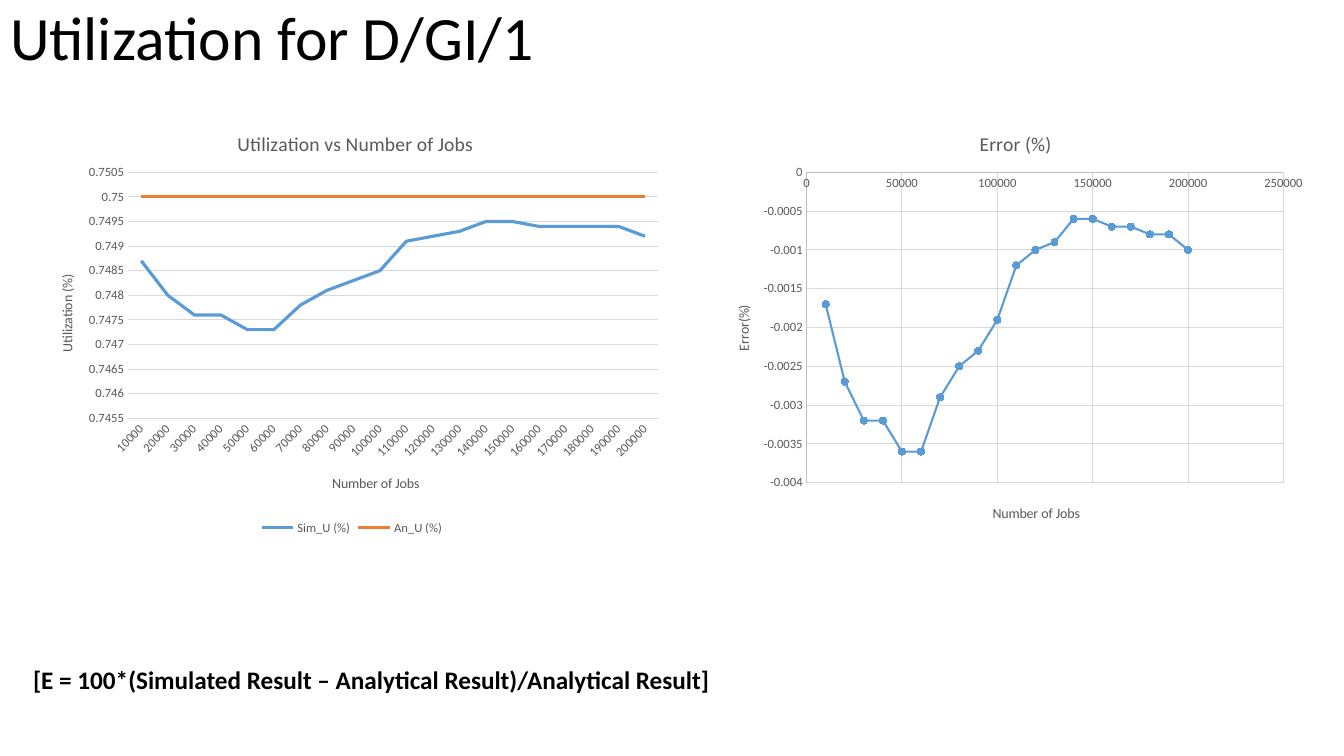
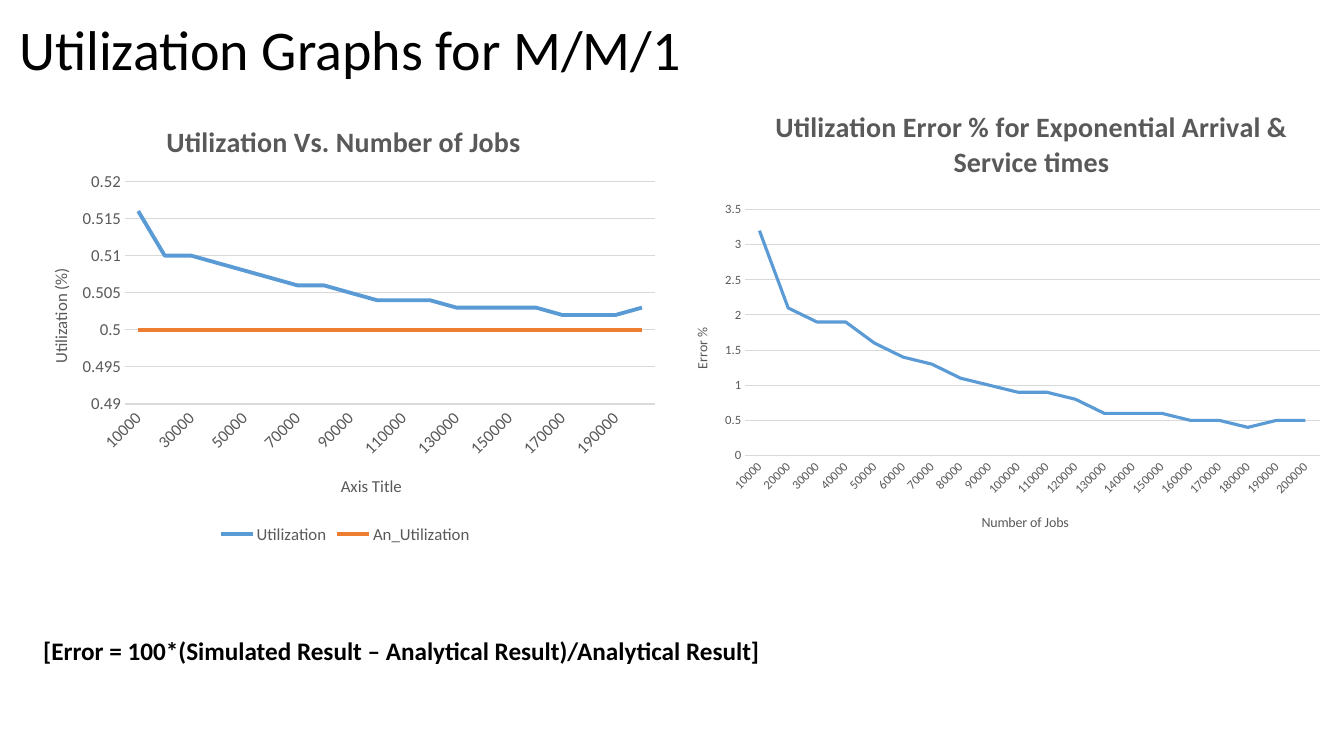
"""Builds two slides of queue utilization charts."""
from lxml import etree
from pptx import Presentation
from pptx import util as u
from pptx.chart import data as chart_data
from pptx.dml.color import RGBColor
from pptx.enum import chart as ce
from pptx.enum import text as te
from pptx.oxml.ns import qn

FONT = "Calibri"
BLACK, GREY, GRID, AXIS = "000000", "595959", "D9D9D9", "BFBFBF"
SERIES_COLOURS = ("5B9BD5", "ED7D31")
JOBS = [10000 * step for step in range(1, 21)]

DETERMINISTIC_UTILIZATION = [
    0.7487, 0.7480, 0.7476, 0.7476, 0.7473, 0.7473, 0.7478, 0.7481, 0.7483, 0.7485,
    0.7491, 0.7492, 0.7493, 0.7495, 0.7495, 0.7494, 0.7494, 0.7494, 0.7494, 0.7492]
DETERMINISTIC_ERROR = [
    -0.0017, -0.0027, -0.0032, -0.0032, -0.0036, -0.0036, -0.0029, -0.0025, -0.0023, -0.0019,
    -0.0012, -0.001, -0.0009, -0.0006, -0.0006, -0.0007, -0.0007, -0.0008, -0.0008, -0.001]
EXPONENTIAL_UTILIZATION = [
    0.516, 0.510, 0.510, 0.509, 0.508, 0.507, 0.506, 0.506, 0.505, 0.504,
    0.504, 0.504, 0.503, 0.503, 0.503, 0.503, 0.502, 0.502, 0.502, 0.503]
EXPONENTIAL_ERROR = [
    3.2, 2.1, 1.9, 1.9, 1.6, 1.4, 1.3, 1.1, 1, 0.9,
    0.9, 0.8, 0.6, 0.6, 0.6, 0.5, 0.5, 0.4, 0.5, 0.5]


def rgb(colour):
    """Turn a hex string into a colour."""
    return RGBColor.from_string(colour)


def set_all(target, **values):
    """Set several attributes of one object."""
    for name, value in values.items():
        setattr(target, name, value)


def style_font(font, size, colour=GREY, bold=False):
    """Apply the deck font."""
    set_all(font, name=FONT, size=u.Pt(size), bold=bold)
    font.color.rgb = rgb(colour)


def style_line(line, colour, width):
    """Colour a line, or hide it when no colour is given."""
    if colour is None:
        line.fill.background()
        return
    line.color.rgb = rgb(colour)
    line.width = u.Pt(width)


def place(element, frame, box):
    """Pin a chart part at a slide position in inches."""
    old = element.find(qn("c:layout"))
    if old is not None:
        element.remove(old)
    layout = etree.Element(qn("c:layout"))
    manual = etree.SubElement(layout, qn("c:manualLayout"))
    left, top, width, height = frame
    entries = [("xMode", "edge"), ("yMode", "edge"),
               ("x", (box[0] - left) / width), ("y", (box[1] - top) / height)]
    if len(box) == 4:
        entries = [("layoutTarget", "inner"), *entries,
                   ("w", box[2] / width), ("h", box[3] / height)]
    for tag, value in entries:
        text = value if isinstance(value, str) else f"{value:.4f}"
        etree.SubElement(manual, qn(f"c:{tag}")).set("val", text)
    rich = element.find(qn("c:tx"))
    element.insert(0 if rich is None else element.index(rich) + 1, layout)


def write_title(owner, text, size, frame, spot, bold=False):
    """Write and place the title of a chart or an axis."""
    owner.text_frame.text = text
    style_font(owner.text_frame.paragraphs[0].runs[0].font, size, bold=bold)
    place(owner._element, frame, spot)


def style_axis(axis, label_size, scale=None, line=None, width=0.75, grid=True):
    """Format the scale, labels, line and gridlines of an axis."""
    set_all(axis, major_tick_mark=ce.XL_TICK_MARK.NONE, minor_tick_mark=ce.XL_TICK_MARK.NONE,
            has_major_gridlines=grid)
    if scale:
        low, high, step = scale
        set_all(axis, minimum_scale=low, maximum_scale=high, major_unit=step)
    style_font(axis.tick_labels.font, label_size)
    set_all(axis.tick_labels, number_format="General", number_format_is_linked=False)
    style_line(axis.format.line, line, width)
    if grid:
        style_line(axis.major_gridlines.format.line, GRID, 0.75)


def add_chart(slide, kind, data, frame, plot, title, x_title, y_title, label_size=9, stroke=2.25):
    """Add a chart with placed plot area, titles and coloured series."""
    chart = slide.shapes.add_chart(kind, *map(u.Inches, frame), data).chart
    style_font(chart.font, 10, BLACK)
    chart.has_legend = False
    place(chart._chartSpace.chart.plotArea, frame, plot)
    write_title(chart.chart_title, frame=frame, **title)
    for axis, caption in ((chart.category_axis, x_title), (chart.value_axis, y_title)):
        write_title(axis.axis_title, frame=frame, size=max(label_size, 10), **caption)
    chart.plots[0].vary_by_categories = False
    for series, colour in zip(chart.plots[0].series, SERIES_COLOURS):
        series.smooth = False
        style_line(series.format.line, colour, stroke)
    return chart


def add_line_chart(slide, series, scale, legend=False, axis_width=0.75, label_size=9, **parts):
    """Add a line chart over the number of jobs."""
    data = chart_data.CategoryChartData()
    data.categories = [str(count) for count in JOBS]
    for name, values in series.items():
        data.add_series(name, values)
    chart = add_chart(slide, ce.XL_CHART_TYPE.LINE, data, label_size=label_size, **parts)
    style_axis(chart.category_axis, label_size, line=GRID, width=axis_width, grid=False)
    style_axis(chart.value_axis, label_size, scale)
    label_body = chart.category_axis._element.find(qn("c:txPr")).find(qn("a:bodyPr"))
    label_body.set("rot", "-2700000")
    if legend:
        chart.has_legend = True
        set_all(chart.legend, position=ce.XL_LEGEND_POSITION.BOTTOM, include_in_layout=False)
        style_font(chart.legend.font, label_size)


def add_scatter_chart(slide, name, values, x_scale, y_scale, **parts):
    """Add a scatter chart with joined round markers."""
    data = chart_data.XyChartData()
    points = data.add_series(name)
    for count, value in zip(JOBS, values):
        points.add_data_point(count, value)
    chart = add_chart(slide, ce.XL_CHART_TYPE.XY_SCATTER_LINES, data, stroke=1.5, **parts)
    style_axis(chart.category_axis, 9, x_scale, AXIS)
    style_axis(chart.value_axis, 9, y_scale, AXIS)
    marker = chart.plots[0].series[0].marker
    set_all(marker, style=ce.XL_MARKER_STYLE.CIRCLE, size=5)
    marker.format.fill.solid()
    marker.format.fill.fore_color.rgb = rgb(SERIES_COLOURS[0])
    style_line(marker.format.line, SERIES_COLOURS[0], 0.75)


def add_slide(deck, heading, left, top, size):
    """Add a slide with its heading."""
    slide = deck.slides.add_slide(deck.slide_layouts[5])
    title = slide.shapes.title
    set_all(title, left=u.Inches(left), top=u.Inches(top),
            width=u.Inches(11.5), height=u.Inches(0.8))
    frame = title.text_frame
    frame.text = heading
    set_all(frame, vertical_anchor=te.MSO_ANCHOR.MIDDLE, auto_size=te.MSO_AUTO_SIZE.NONE,
            word_wrap=True)
    set_all(frame.paragraphs[0], alignment=te.PP_ALIGN.LEFT, line_spacing=0.9)
    style_font(frame.paragraphs[0].runs[0].font, size, BLACK)
    return slide


def add_formula(slide, text, left, top, width):
    """Add the bold error formula."""
    frame = slide.shapes.add_textbox(*map(u.Inches, (left, top, width, 0.4))).text_frame
    set_all(frame, text=text, word_wrap=True, auto_size=te.MSO_AUTO_SIZE.SHAPE_TO_FIT_TEXT)
    style_font(frame.paragraphs[0].runs[0].font, 18, BLACK, bold=True)


def caption(text, left, top, **style):
    """Describe a title and its position."""
    return dict(text=text, spot=(left, top), **style)


def build_deterministic(deck):
    """Build the D/GI/1 slide."""
    slide = add_slide(deck, "Utilization for D/GI/1", 0, 0, 44)
    add_formula(slide, "[E = 100*(Simulated Result – Analytical Result)/Analytical Result]",
                0.23, 6.54, 12.27)
    add_line_chart(
        slide, {"Sim_U (%)": DETERMINISTIC_UTILIZATION, "An_U (%)": [0.75] * len(JOBS)},
        (0.7455, 0.7505, 0.0005), legend=True,
        frame=(0.33, 1.06, 6.32, 4.29), plot=(1.27, 1.71, 5.26, 2.44),
        title=caption("Utilization vs Number of Jobs", 2.32, 1.26, size=14),
        x_title=caption("Number of Jobs", 3.27, 4.68),
        y_title=caption("Utilization (%)", 0.55, 2.7))
    add_scatter_chart(
        slide, "Error (%)", DETERMINISTIC_ERROR, (0, 250000, 50000), (-0.004, 0, 0.0005),
        frame=(7.04, 1.06, 6, 4.29), plot=(8, 1.71, 4.73, 3.08),
        title=caption("Error (%)", 9.68, 1.26, size=14),
        x_title=caption("Number of Jobs", 9.82, 4.98),
        y_title=caption("Error(%)", 7.26, 3))


def build_exponential(deck):
    """Build the M/M/1 slide."""
    slide = add_slide(deck, "Utilization Graphs for M/M/1", 0.09, 0.12, 40)
    add_line_chart(
        slide, {"Utilization": EXPONENTIAL_UTILIZATION, "An_Utilization": [0.5] * len(JOBS)},
        (0.49, 0.52, 0.005), legend=True, axis_width=1, label_size=12, stroke=2.75,
        frame=(0.22, 0.92, 6.41, 4.52), plot=(1.24, 1.8, 5.26, 2.21),
        title=caption("Utilization Vs. Number of Jobs", 1.6, 1.16, size=20, bold=True),
        x_title=caption("Axis Title", 3.35, 4.68),
        y_title=caption("Utilization (%)", 0.46, 2.63))
    add_line_chart(
        slide, {"Error %": EXPONENTIAL_ERROR}, (0, 3.5, 0.5),
        frame=(6.62, 0.92, 6.6, 4.52), plot=(7.39, 2.08, 5.7, 2.44),
        title=caption("Utilization Error % for Exponential Arrival & Service times",
                      7.64, 1.01, size=20, bold=True),
        x_title=caption("Number of Jobs", 9.71, 5.07),
        y_title=caption("Error %", 6.85, 3.23))
    add_formula(slide, "[Error = 100*(Simulated Result – Analytical Result)/Analytical Result]",
                0.33, 6.25, 9.14)


def main():
    """Build and save the deck."""
    deck = Presentation()
    set_all(deck, slide_width=u.Inches(13.33), slide_height=u.Inches(7.5))
    build_deterministic(deck)
    build_exponential(deck)
    deck.save("out.pptx")


if __name__ == "__main__":
    main()
